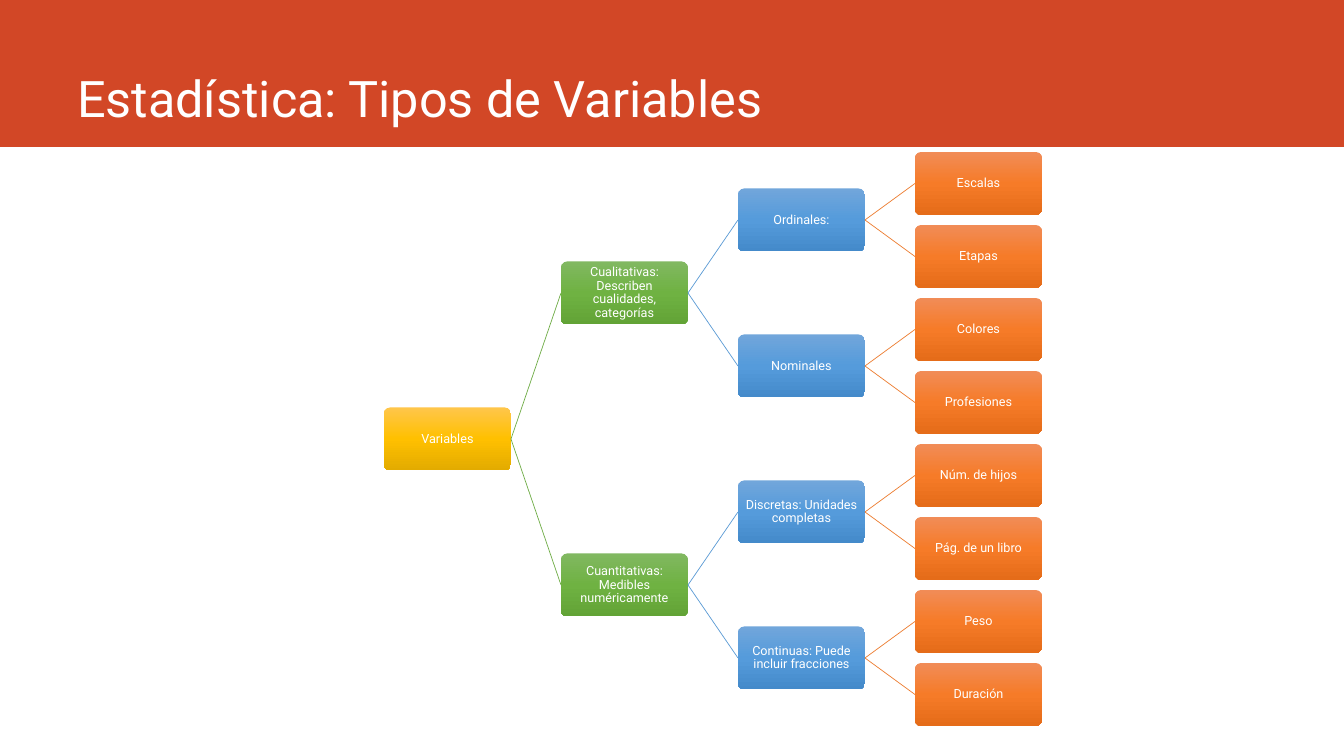
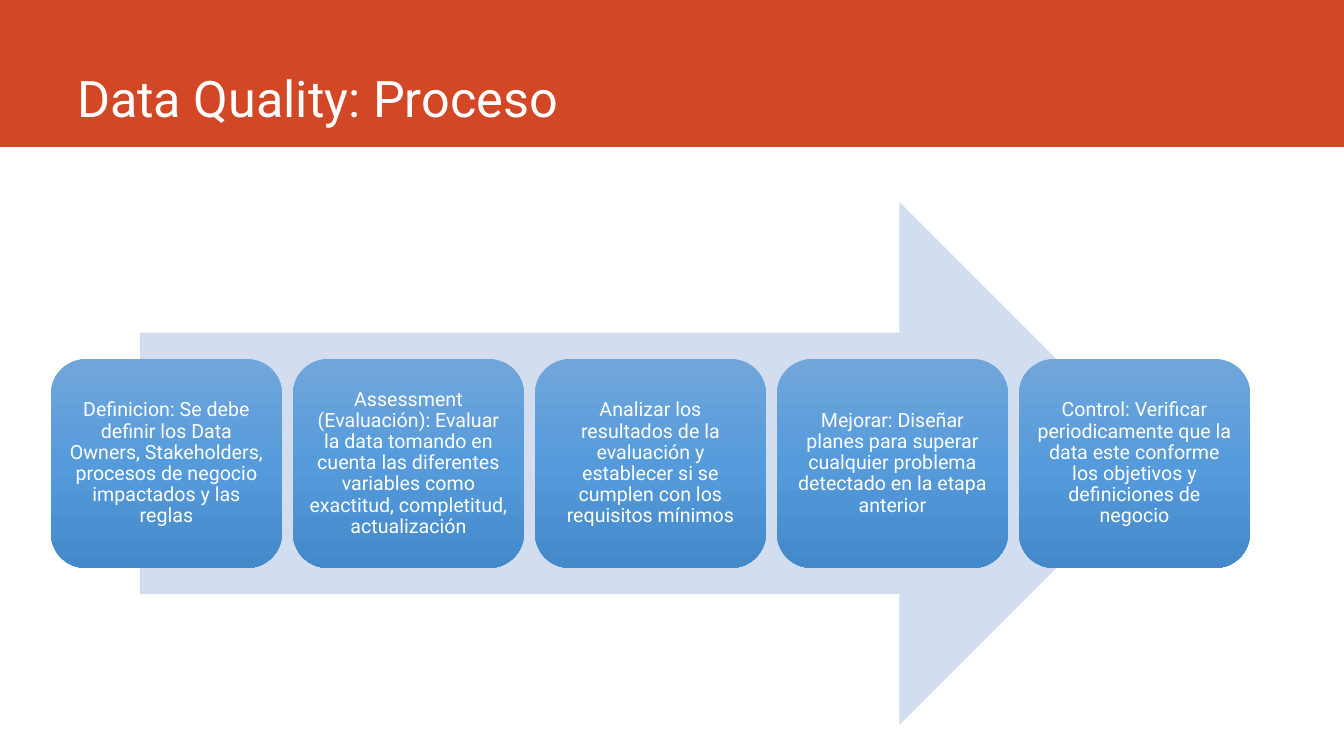
"""Builds two slides: a tree of variable types and the data quality process."""
from dataclasses import dataclass

from lxml import etree
from pptx import Presentation
from pptx import util as u
from pptx.dml.color import RGBColor
from pptx.enum import shapes, text
from pptx.oxml.ns import qn

TREE_TITLE = "Estadística: Tipos de Variables"
TREE = ("Variables", [
    ("Cualitativas: Describen cualidades, categorías", [
        ("Ordinales:", [("Escalas", []), ("Etapas", [])]),
        ("Nominales", [("Colores", []), ("Profesiones", [])]),
    ]),
    ("Cuantitativas: Medibles numéricamente", [
        ("Discretas: Unidades completas", [("Núm. de hijos", []), ("Pág. de un libro", [])]),
        ("Continuas: Puede incluir fracciones", [("Peso", []), ("Duración", [])]),
    ]),
])

PROCESS_TITLE = "Data Quality: Proceso"
STEPS = [
    "Definicion: Se debe definir los Data Owners, Stakeholders, procesos de negocio "
    "impactados y las reglas",
    "Assessment (Evaluación): Evaluar la data tomando en cuenta las diferentes variables "
    "como exactitud, completitud, actualización",
    "Analizar los resultados de la evaluación y establecer si se cumplen con los "
    "requisitos mínimos",
    "Mejorar: Diseñar planes para superar cualquier problema detectado en la etapa anterior",
    "Control: Verificar periodicamente que la data este conforme los objetivos y "
    "definiciones de negocio",
]


@dataclass(frozen=True)
class Theme:
    font: str = "Roboto"
    title_size: int = 36
    step_size: int = 14
    node_size: int = 9
    band: str = "D24726"
    light: str = "FFFFFF"
    arrow: str = "D2DEEF"
    yellow: tuple = ("FFC64B", "FFC000", "E3AB00")
    green: tuple = ("81B861", "6FB242", "62A336")
    blue: tuple = ("71A6DB", "559BDB", "448ACA")
    orange: tuple = ("F18C57", "F67B28", "E56C19")
    links: tuple = ("70AD47", "5B9BD5", "ED7D31")

    @property
    def levels(self):
        return self.yellow, self.green, self.blue, self.orange


THEME = Theme()
WIDTH, HEIGHT = 1344, 756
BAND_HEIGHT = 147
TITLE_BOX = (67, 0, 1185, 133)

NODE_LEFT, NODE_TOP = 384, 152
NODE_WIDTH, NODE_HEIGHT = 127, 63
COLUMN_STEP, ROW_STEP = 177, 73

ARROW_BOX = (140, 202, 1021, 523)
STEP_LEFT, STEP_TOP, STEP_STRIDE = 51, 359, 242
STEP_WIDTH, STEP_HEIGHT = 231, 209


def px(value):
    return u.Emu(round(value * 914400 / 100.8))


def add_block(slide, kind, box, color):
    shape = slide.shapes.add_shape(kind, *map(px, box))
    shape.shadow.inherit = False
    shape.line.fill.background()
    shape.fill.solid()
    shape.fill.fore_color.rgb = RGBColor.from_string(color)
    return shape


def set_gradient(shape, colors):
    shape.fill.gradient()
    shape.fill.gradient_angle = 270
    stops = shape.element.find(".//" + qn("a:gsLst"))
    stops.clear()
    for position, color in zip((0, 50000, 100000), colors):
        stop = etree.SubElement(stops, qn("a:gs"), pos=str(position))
        etree.SubElement(stop, qn("a:srgbClr"), val=color)


def set_font(paragraph, size):
    paragraph.font.name = THEME.font
    paragraph.font.size = u.Pt(size)
    paragraph.font.color.rgb = RGBColor.from_string(THEME.light)


def add_card(slide, box, label, colors, size, margin):
    card = add_block(slide, shapes.MSO_SHAPE.ROUNDED_RECTANGLE, box, colors[1])
    set_gradient(card, colors)
    frame = card.text_frame
    frame.word_wrap = True
    frame.vertical_anchor = text.MSO_ANCHOR.MIDDLE
    frame.margin_left = frame.margin_right = px(margin)
    frame.margin_top = frame.margin_bottom = px(margin)
    paragraph = frame.paragraphs[0]
    paragraph.text = label
    paragraph.alignment = text.PP_ALIGN.CENTER
    paragraph.line_spacing = 0.9
    set_font(paragraph, size)
    return card


def prepare_layout(layout, slide):
    band = add_block(slide, shapes.MSO_SHAPE.RECTANGLE, (0, 0, WIDTH, BAND_HEIGHT), THEME.band)
    layout.shapes.element.insert(2, band.element)
    title = layout.placeholders[0]
    title.left, title.top, title.width, title.height = map(px, TITLE_BOX)
    title.text_frame.vertical_anchor = text.MSO_ANCHOR.BOTTOM


def set_title(slide, label):
    paragraph = slide.shapes.title.text_frame.paragraphs[0]
    paragraph.text = label
    paragraph.alignment = text.PP_ALIGN.LEFT
    set_font(paragraph, THEME.title_size)


def add_link(slide, parent, child, color):
    link = slide.shapes.add_connector(shapes.MSO_CONNECTOR.STRAIGHT, 0, 0, 0, 0)
    link.begin_connect(parent, 3)
    link.end_connect(child, 1)
    link.line.width = u.Pt(0.5)
    link.line.color.rgb = RGBColor.from_string(color)
    etree.SubElement(link.element.spPr, qn("a:effectLst"))


def add_branch(slide, node, level=0, first_row=0):
    """Draws a node with its descendants; returns its card, row and next free row."""
    label, children = node
    next_row = first_row
    child_cards, child_rows = [], []
    for child in children:
        card, row, next_row = add_branch(slide, child, level + 1, next_row)
        child_cards.append(card)
        child_rows.append(row)
    if children:
        row = sum(child_rows) / len(child_rows)
    else:
        row, next_row = first_row, first_row + 1
    box = (NODE_LEFT + level * COLUMN_STEP, NODE_TOP + row * ROW_STEP, NODE_WIDTH, NODE_HEIGHT)
    parent = add_card(slide, box, label, THEME.levels[level], THEME.node_size, 1)
    if level:
        parent.adjustments[0] = 0.1
    else:
        parent.adjustments[0] = 0.1
    for card in child_cards:
        add_link(slide, parent, card, THEME.links[level])
    return parent, row, next_row


def build_process(slide):
    add_block(slide, shapes.MSO_SHAPE.RIGHT_ARROW, ARROW_BOX, THEME.arrow)
    for index, label in enumerate(STEPS):
        box = (STEP_LEFT + index * STEP_STRIDE, STEP_TOP, STEP_WIDTH, STEP_HEIGHT)
        add_card(slide, box, label, THEME.blue, THEME.step_size, 6)


def main():
    presentation = Presentation()
    presentation.slide_width, presentation.slide_height = px(WIDTH), px(HEIGHT)
    layout = presentation.slide_layouts[5]
    tree_slide, process_slide = (presentation.slides.add_slide(layout) for _ in range(2))
    prepare_layout(layout, tree_slide)
    set_title(tree_slide, TREE_TITLE)
    add_branch(tree_slide, TREE)
    set_title(process_slide, PROCESS_TITLE)
    build_process(process_slide)
    presentation.save("out.pptx")


if __name__ == "__main__":
    main()
